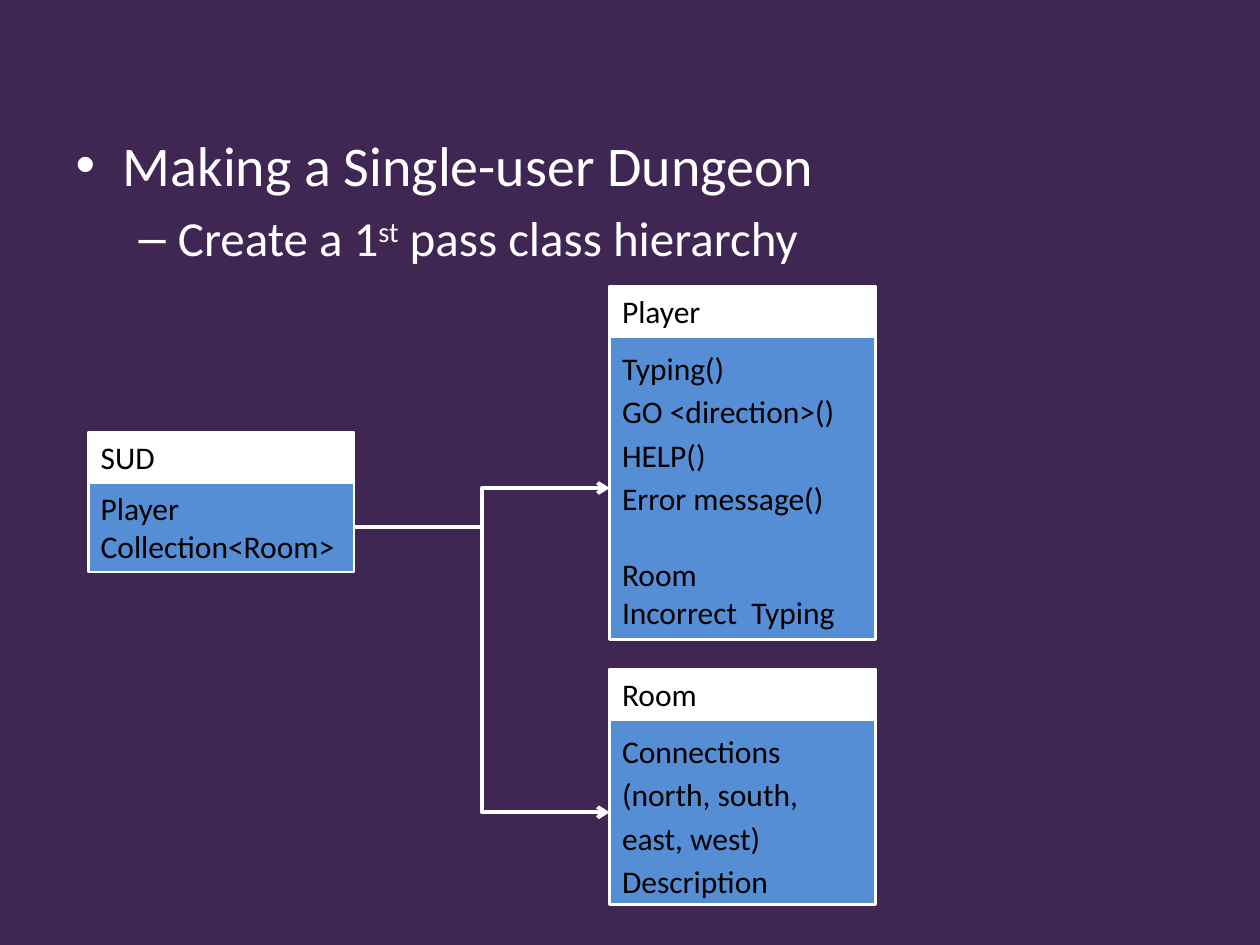
from lxml.etree import SubElement
from pptx import Presentation
from pptx.dml.color import RGBColor
from pptx.enum.shapes import MSO_CONNECTOR, MSO_SHAPE
from pptx.enum.text import MSO_ANCHOR, PP_ALIGN
from pptx.oxml.ns import qn
from pptx.util import Cm, Pt

COLORS = {"background": "402652", "white": "FFFFFF", "black": "000000", "blue": "558ED5"}
FONT = "Calibri"
BOX_WIDTH = Cm(5.36)
HEADER_HEIGHT = Cm(1.02)


def color(name):
    return RGBColor.from_string(COLORS[name])


def add_box(slide, left, top, height, fill, lines, alignment, spacing):
    shape = slide.shapes.add_shape(MSO_SHAPE.RECTANGLE, left, top, BOX_WIDTH, height)
    shape.shadow.inherit = False
    shape.fill.solid()
    shape.fill.fore_color.rgb = color(fill)
    shape.line.color.rgb = color("white")
    shape.line.width = Pt(1.5)
    frame = shape.text_frame
    frame.word_wrap = True
    frame.vertical_anchor = MSO_ANCHOR.TOP
    frame.text = "\n".join(lines)
    for paragraph in frame.paragraphs:
        paragraph.alignment = alignment
        paragraph.line_spacing = spacing
        paragraph.font.name = FONT
        paragraph.font.size = Pt(18)
        paragraph.font.color.rgb = color("black")
    return shape


presentation = Presentation()
presentation.slide_width = Cm(25.4)
presentation.slide_height = Cm(19.05)
slide = presentation.slides.add_slide(presentation.slide_layouts[1])
slide.background.fill.solid()
slide.background.fill.fore_color.rgb = color("background")

title = slide.shapes.title.element
title.getparent().remove(title)

body = slide.placeholders[1]
body.left, body.top, body.width, body.height = Cm(1.27), Cm(2.51), Cm(22.86), Cm(15.6)
heading = body.text_frame.paragraphs[0]
heading.text = "Making a Single-user Dungeon"
subheading = body.text_frame.add_paragraph()
subheading.level = 1
for text in ("Create a 1", "st", " pass class hierarchy"):
    run = subheading.add_run()
    run.text = text
    if text == "st":
        run._r.get_or_add_rPr().set("baseline", "30000")
for paragraph, size in ((heading, 32), (subheading, 28)):
    paragraph.font.name = FONT
    paragraph.font.size = Pt(size)
    paragraph.font.color.rgb = color("white")

player_lines = ["Typing()", "GO <direction>()", "HELP()", "Error message()", "Room", "Incorrect  Typing"]
room_lines = ["Connections (north, south, east, west)", "Description"]
classes = [
    ("SUD", 1.78, 8.71, 1.8, ["Player", "Collection<Room>"], PP_ALIGN.LEFT, 1.0),
    ("Room", 12.29, 13.49, 3.73, room_lines, PP_ALIGN.LEFT, 1.15),
    ("Player", 12.29, 5.77, 6.1, player_lines, PP_ALIGN.JUSTIFY, 1.15),
]
members = {}
for name, left, top, height, lines, alignment, spacing in classes:
    members[name] = add_box(
        slide, Cm(left), Cm(top) + HEADER_HEIGHT, Cm(height), "blue", lines, alignment, spacing
    )
    add_box(slide, Cm(left), Cm(top), HEADER_HEIGHT, "white", [name], PP_ALIGN.LEFT, 1.0)

player_fields = members["Player"].text_frame.paragraphs[4:]
for paragraph in player_fields:
    paragraph.alignment = PP_ALIGN.LEFT
    paragraph.line_spacing = 1.0
player_fields[0].space_before = Pt(22)

for name in ("Room", "Player"):
    connector = slide.shapes.add_connector(MSO_CONNECTOR.ELBOW, 0, 0, 0, 0)
    connector.begin_connect(members["SUD"], 3)
    connector.end_connect(members[name], 1)
    connector.line.color.rgb = color("white")
    connector.line.width = Pt(2.25)
    SubElement(connector.line._get_or_add_ln(), qn("a:tailEnd"), type="arrow")
    SubElement(connector.element.spPr, qn("a:effectLst"))

presentation.save("out.pptx")
